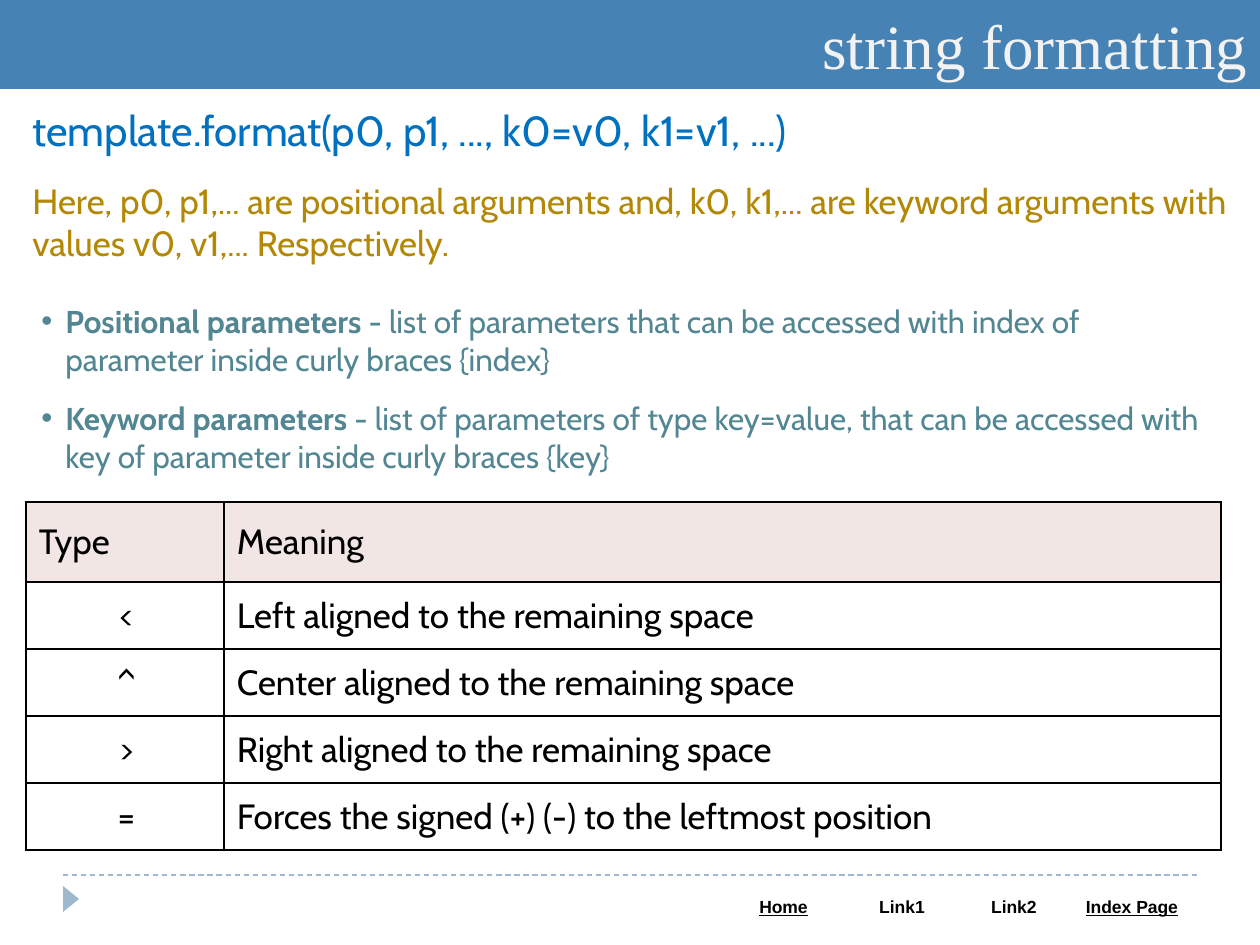
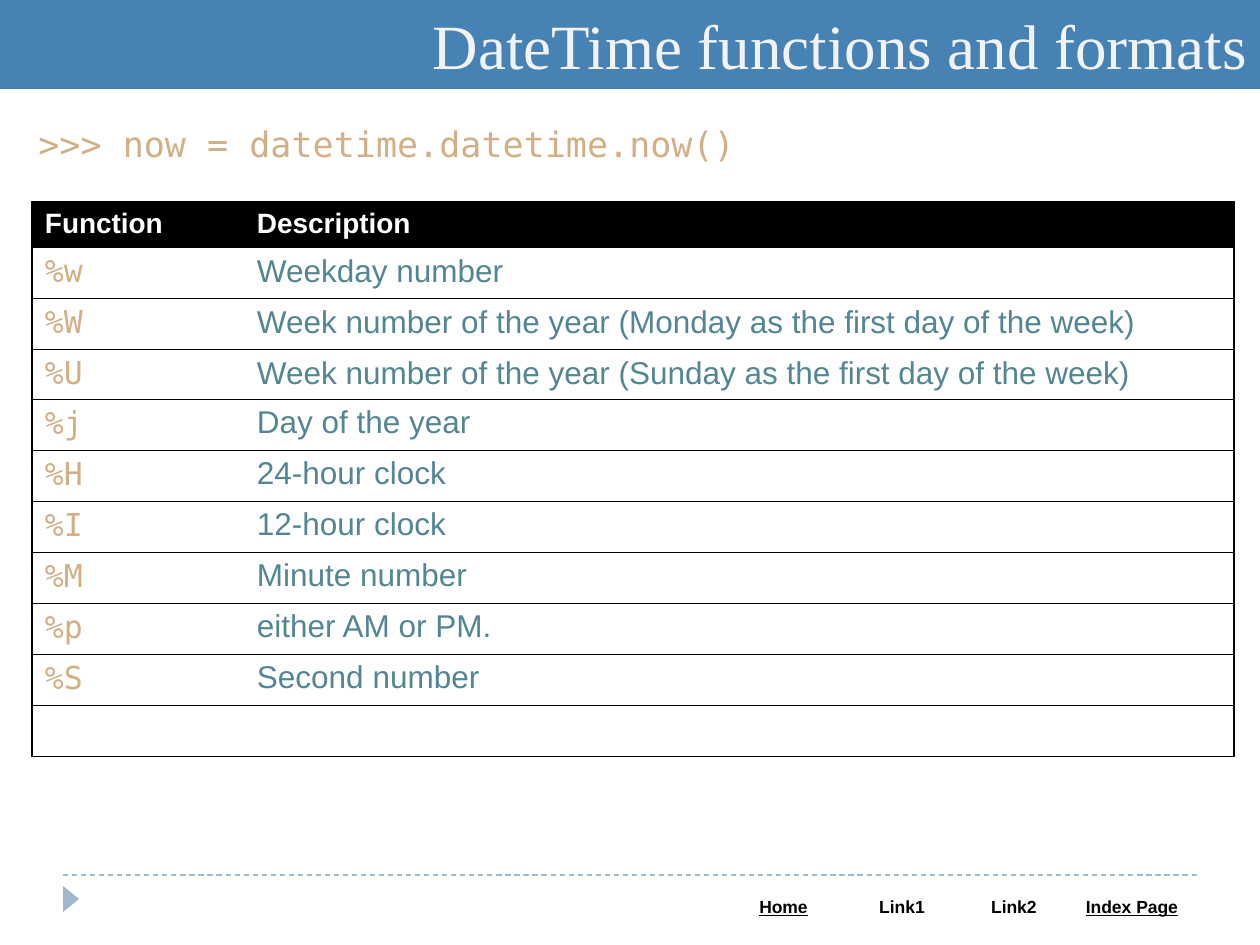
from dataclasses import dataclass
from typing import NamedTuple

from lxml import etree
from pptx import Presentation
from pptx import util as u
from pptx.dml.color import RGBColor
from pptx.enum import dml, shapes, text
from pptx.oxml import ns

PX_PER_INCH = 126
WHITE = RGBColor(0xFF, 0xFF, 0xFF)
BLACK = RGBColor(0x00, 0x00, 0x00)
STEEL = RGBColor(0x46, 0x82, 0xB4)
PALE = RGBColor(0xF2, 0xF2, 0xF2)
MIST = RGBColor(0x9F, 0xB8, 0xCD)
TEAL = RGBColor(0x52, 0x86, 0x93)
BLUE = RGBColor(0x00, 0x70, 0xC0)
GOLD = RGBColor(0xB3, 0x88, 0x07)
SAND = RGBColor(0xD3, 0xAF, 0x86)
ROSE = RGBColor(0xF1, 0xE6, 0xE3)
SANS, BODY = "Arial", "Cabin"
MONO, SERIF = "DejaVu Sans Mono", "Times New Roman"
LEFT, CENTER, RIGHT = text.PP_ALIGN.LEFT, text.PP_ALIGN.CENTER, text.PP_ALIGN.RIGHT
TOP, MIDDLE = text.MSO_ANCHOR.TOP, text.MSO_ANCHOR.MIDDLE
PLAIN_TABLE = "{2D5ABB26-0587-4C30-8999-92F81FD0307C}"
BULLET_INDENT = 24


class Frame(NamedTuple):
    left: int
    top: int
    width: int
    height: int


class Style(NamedTuple):
    font: str
    size: int
    color: RGBColor
    bold: bool = False
    underline: bool = False


class Span(NamedTuple):
    text: str
    style: Style


class Para(NamedTuple):
    spans: list[Span]
    before: int = 0
    bullet: bool = False


class Cell(NamedTuple):
    text: str
    style: Style
    align: text.PP_ALIGN = LEFT
    fill: RGBColor | None = None


@dataclass
class Grid:
    left: int
    top: int
    columns: list[int]
    rows: list[int]
    cells: list[list[Cell]]
    border: float = 0
    inner_verticals: bool = False
    anchor: text.MSO_ANCHOR = TOP
    insets: Frame = Frame(13, 6, 13, 6)


TITLE = Style(SERIF, 36, PALE)
LINK = Style(SANS, 10, BLACK, True, True)
LABEL = LINK._replace(underline=False)
TERM = Style(BODY, 18, TEAL, True)
DETAIL = TERM._replace(bold=False)
ALIGNMENT = Style(BODY, 20, BLACK)
HEADER = Style(SANS, 16, WHITE, True)
CODE = Style(MONO, 18, SAND)
MEANING = Style(SANS, 18, TEAL)


def px(length: int) -> u.Emu:
    return u.Emu(round(length * u.Inches(1) / PX_PER_INCH))


def place(frame: Frame) -> list[u.Emu]:
    return [px(length) for length in frame]


def format_font(font, style: Style) -> None:
    font.name = style.font
    font.size = u.Pt(style.size)
    font.bold = style.bold
    font.underline = style.underline
    font.color.rgb = style.color


def add_bullet(para) -> None:
    properties = para._p.get_or_add_pPr()
    properties.set("marL", str(px(BULLET_INDENT)))
    properties.set("indent", str(-px(BULLET_INDENT)))
    etree.SubElement(properties, ns.qn("a:buFont")).set("typeface", SANS)
    etree.SubElement(properties, ns.qn("a:buChar")).set("char", "•")


def add_text(page, frame: Frame, paras: list[Para]) -> None:
    text_frame = page.shapes.add_textbox(*place(frame)).text_frame
    text_frame.word_wrap = True
    for index, content in enumerate(paras):
        para = text_frame.add_paragraph() if index else text_frame.paragraphs[0]
        if content.before:
            para.space_before = u.Pt(content.before)
        if content.bullet:
            add_bullet(para)
        for span in content.spans:
            run = para.add_run()
            run.text = span.text
            format_font(run.font, span.style)


def add_border(cell, sides: str, width: float) -> None:
    properties = cell._tc.get_or_add_tcPr()
    for side in sides:
        line = etree.SubElement(properties, ns.qn(f"a:ln{side}"), w=str(u.Pt(width)))
        fill = etree.SubElement(line, ns.qn("a:solidFill"))
        etree.SubElement(fill, ns.qn("a:srgbClr"), val=str(BLACK))


def fill_cell(cell, content: Cell, grid: Grid) -> None:
    cell.vertical_anchor = grid.anchor
    (cell.margin_left, cell.margin_top,
     cell.margin_right, cell.margin_bottom) = place(grid.insets)
    if content.fill is None:
        cell.fill.background()
    else:
        cell.fill.solid()
        cell.fill.fore_color.rgb = content.fill
    cell.text = content.text
    para = cell.text_frame.paragraphs[0]
    para.alignment = content.align
    for run in para.runs:
        format_font(run.font, content.style)


def add_grid(page, grid: Grid) -> None:
    frame = Frame(grid.left, grid.top, sum(grid.columns), sum(grid.rows))
    holder = page.shapes.add_table(len(grid.rows), len(grid.columns), *place(frame))
    table = holder.table
    table.first_row = table.horz_banding = False
    next(holder.element.iter(ns.qn("a:tableStyleId"))).text = PLAIN_TABLE
    for column, width in zip(table.columns, grid.columns):
        column.width = px(width)
    for row, height in zip(table.rows, grid.rows):
        row.height = px(height)
    last = len(grid.columns) - 1
    for row_index, row in enumerate(grid.cells):
        for index, content in enumerate(row):
            cell = table.cell(row_index, index)
            if grid.border:
                start = "L" if grid.inner_verticals or index == 0 else ""
                end = "R" if grid.inner_verticals or index == last else ""
                add_border(cell, start + end + "TB", grid.border)
            fill_cell(cell, content, grid)


def add_title(page, wording: str) -> None:
    title = page.shapes.title
    title.left, title.top, title.width, title.height = place(Frame(0, 0, 1260, 89))
    title.fill.solid()
    title.fill.fore_color.rgb = STEEL
    text_frame = title.text_frame
    text_frame.text = wording
    text_frame.word_wrap = True
    text_frame.auto_size = text.MSO_AUTO_SIZE.NONE
    text_frame.vertical_anchor = MIDDLE
    para = text_frame.paragraphs[0]
    para.alignment = RIGHT
    format_font(para.runs[0].font, TITLE)


def add_footer(page) -> None:
    rule = page.shapes.add_connector(
        shapes.MSO_CONNECTOR.STRAIGHT, px(63), px(875), px(1197), px(875))
    rule.line.color.rgb = MIST
    rule.line.width = u.Pt(0.75)
    rule.line.dash_style = dml.MSO_LINE.DASH
    etree.SubElement(rule.element.spPr, ns.qn("a:effectLst"))

    marker = page.shapes.add_shape(
        shapes.MSO_SHAPE.ISOSCELES_TRIANGLE, *place(Frame(58, 891, 26, 16)))
    marker.rotation = 90
    marker.shadow.inherit = False
    marker.fill.solid()
    marker.fill.fore_color.rgb = MIST
    marker.line.fill.background()

    links = [("Home", LINK), ("Link1", LABEL), ("Link2", LABEL), ("Index Page", LINK)]
    cells = [Cell(wording, style, CENTER, WHITE) for wording, style in links]
    add_grid(page, Grid(724, 892, [119, 118, 106, 130], [34], [cells]))


def add_page(deck, title: str):
    page = deck.slides.add_slide(deck.slide_layouts.get_by_name("Title Only"))
    add_title(page, title)
    add_footer(page)
    return page


def add_string_formatting(deck) -> None:
    page = add_page(deck, "string formatting")
    add_text(page, Frame(20, 98, 1221, 174), [
        Para([Span("template.format(p0, p1, ..., k0=v0, k1=v1, ...)",
                   Style(BODY, 24, BLUE))]),
        Para([Span("Here, p0, p1,... are positional arguments and, k0, k1,... are "
                   "keyword arguments with values v0, v1,... Respectively.",
                   Style(BODY, 20, GOLD))], before=14),
    ])
    add_text(page, Frame(29, 296, 1201, 186), [
        Para([Span("Positional parameters", TERM),
              Span(" - list of parameters that can be accessed with index of "
                   "parameter inside curly braces {index}", DETAIL)], bullet=True),
        Para([Span("Keyword parameters", TERM),
              Span(" - list of parameters of type key=value, that can be accessed "
                   "with key of parameter inside curly braces {key}", DETAIL)],
             before=12, bullet=True),
    ])
    meanings = {
        "<": "Left aligned to the remaining space",
        "^": "Center aligned to the remaining space",
        ">": "Right aligned to the remaining space",
        "=": "Forces the signed (+) (-) to the leftmost position",
    }
    header = [Cell(name, ALIGNMENT, fill=ROSE) for name in ("Type", "Meaning")]
    body = [[Cell(sign, ALIGNMENT, CENTER), Cell(meaning, ALIGNMENT)]
            for sign, meaning in meanings.items()]
    add_grid(page, Grid(26, 502, [198, 997], [80] + [67] * len(body), [header] + body,
                        border=1, inner_verticals=True, anchor=MIDDLE,
                        insets=Frame(13, 12, 10, 11)))


def add_datetime_formats(deck) -> None:
    page = add_page(deck, "DateTime functions and formats")
    add_text(page, Frame(26, 116, 1207, 55), [
        Para([Span(">>> now = datetime.datetime.now()", CODE._replace(size=20))])])
    descriptions = {
        "%w": "Weekday number",
        "%W": "Week number of the year (Monday as the first day of the week)",
        "%U": "Week number of the year (Sunday as the first day of the week)",
        "%j": "Day of the year",
        "%H": "24-hour clock",
        "%I": "12-hour clock",
        "%M": "Minute number",
        "%p": "either AM or PM.",
        "%S": "Second number",
        "": "",
    }
    header = [Cell(name, HEADER, fill=BLACK) for name in ("Function", "Description")]
    body = [[Cell(code, CODE), Cell(description, MEANING)]
            for code, description in descriptions.items()]
    heights = [43] + [49 if code == "%U" else 51 for code in descriptions]
    add_grid(page, Grid(32, 202, [212, 990], heights, [header] + body, border=0.75))


def main() -> None:
    deck = Presentation()
    deck.slide_width, deck.slide_height = px(1260), px(945)
    add_string_formatting(deck)
    add_datetime_formats(deck)
    deck.save("out.pptx")


if __name__ == "__main__":
    main()
